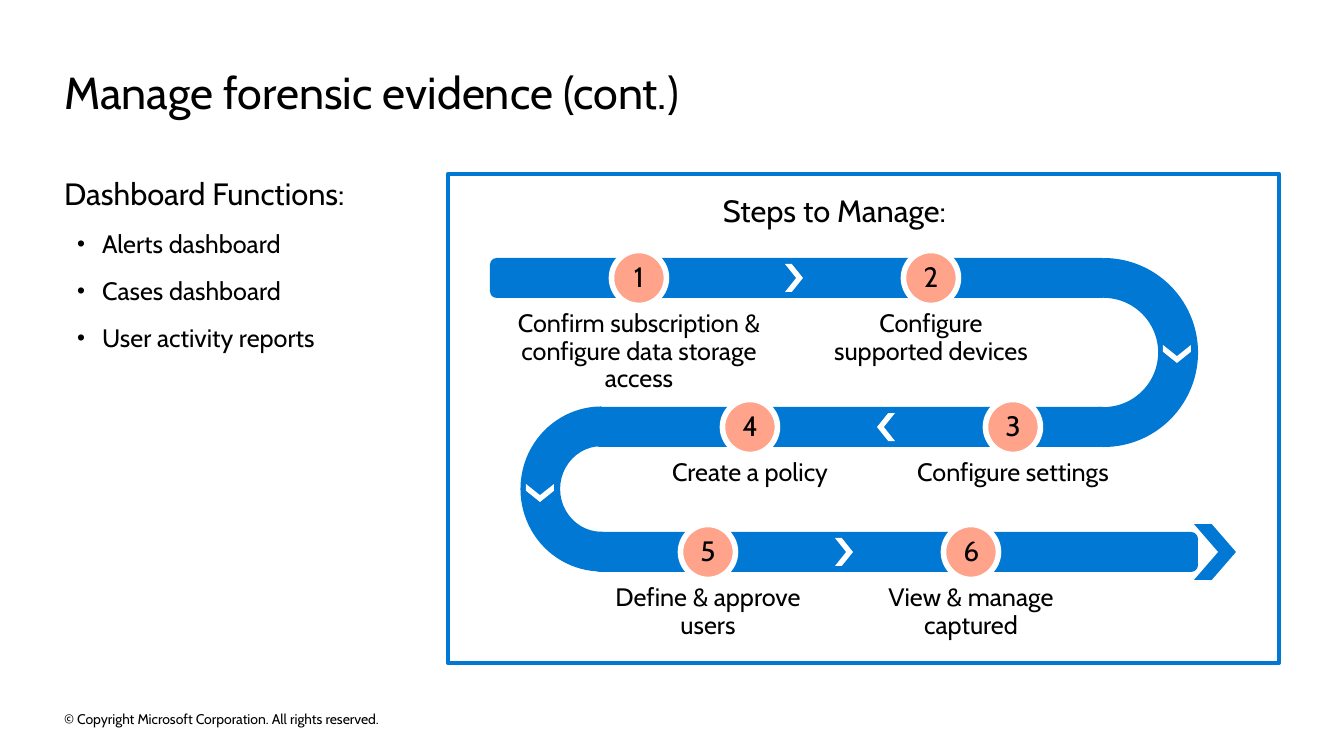
from dataclasses import dataclass

from lxml.etree import SubElement
from pptx import Presentation
from pptx.dml.color import RGBColor
from pptx.enum.shapes import MSO_SHAPE
from pptx.enum.text import MSO_ANCHOR, MSO_AUTO_SIZE, PP_ALIGN
from pptx.oxml.ns import qn
from pptx.util import Pt

TITLE = "Manage forensic evidence (cont.)"
FUNCTIONS_HEADING = "Dashboard Functions:"
FUNCTIONS = ["Alerts dashboard", "Cases dashboard", "User activity reports"]
STEPS_HEADING = "Steps to Manage:"
COPYRIGHT = "© Copyright Microsoft Corporation. All rights reserved."

# Lengths are px; each row of the path has one centre line.
ROW_1, ROW_2, ROW_3 = 278, 427, 552
# centre x, row, label width, label height, label
STEPS = [
    (639, ROW_1, 250, 99, "Confirm subscription & configure data storage access"),
    (931, ROW_1, 206, 71, "Configure supported devices"),
    (1013, ROW_2, 235, 43, "Configure settings"),
    (750, ROW_2, 173, 43, "Create a policy"),
    (708, ROW_3, 195, 71, "Define & approve users"),
    (971, ROW_3, 186, 71, "View & manage captured"),
]
# left, right, row
BARS = [(490, 1109, ROW_1), (593, 1110, ROW_2), (593, 1198, ROW_3)]
# left, top, width, height, flipped, adjustments
BENDS = [
    (1009, 258, 189, 189, False, (108, 3.061, 0.211)),
    (519, 408, 165, 162, True, (108, 1.203, 0.245)),
]
# centre x, centre y, rotation
CHEVRONS = [(794, ROW_1, 0), (1177, 354, 90), (886, ROW_2, 180),
            (540, 493, 90), (844, ROW_3, 0)]
BAR_HEIGHT = 40
BADGE = 55
LABEL_DROP = 25


@dataclass(frozen=True)
class Theme:
    font: str = "Cabin"
    ink: RGBColor = RGBColor(0, 0, 0)
    white: RGBColor = RGBColor(255, 255, 255)
    blue: RGBColor = RGBColor(0x00, 0x78, 0xD4)
    salmon: RGBColor = RGBColor(0xFF, 0xA3, 0x8B)
    title: int = 32
    heading: int = 22
    number: int = 20
    text: int = 18
    footer: int = 10


THEME = Theme()
EMU_PER_PX = 914400 / 100.8


def px(length):
    return round(length * EMU_PER_PX)


def box(left, top, width, height):
    return [px(side) for side in (left, top, width, height)]


def centred(x, y, width, height):
    return box(x - width / 2, y - height / 2, width, height)


def prepare_frame(frame, inset_x=0, inset_y=0, anchor=MSO_ANCHOR.TOP):
    frame.word_wrap = True
    frame.auto_size = MSO_AUTO_SIZE.NONE
    frame.vertical_anchor = anchor
    frame.margin_left = frame.margin_right = px(inset_x)
    frame.margin_top = frame.margin_bottom = px(inset_y)


def format_paragraph(paragraph, size, align=PP_ALIGN.LEFT, spacing=1.0, after=0):
    paragraph.alignment = align
    paragraph.line_spacing = spacing
    paragraph.space_before = Pt(0)
    paragraph.space_after = Pt(after)
    for run in paragraph.runs:
        run.font.name = THEME.font
        run.font.size = Pt(size)
        run.font.color.rgb = THEME.ink


def set_bullet(paragraph, bulleted):
    properties = paragraph._p.get_or_add_pPr()
    properties.set("marL", str(px(38 if bulleted else 0)))
    properties.set("indent", str(px(-25 if bulleted else 0)))
    if bulleted:
        SubElement(properties, qn("a:buSzPct"), val="90000")
        SubElement(properties, qn("a:buFont"), typeface="Arial")
        SubElement(properties, qn("a:buChar"), char="•")
    else:
        SubElement(properties, qn("a:buNone"))


def place(placeholder, bounds):
    placeholder.left, placeholder.top, placeholder.width, placeholder.height = bounds
    prepare_frame(placeholder.text_frame)


def add_text(slide, bounds, text, size, inset_y=0, anchor=MSO_ANCHOR.TOP, **style):
    frame = slide.shapes.add_textbox(*bounds).text_frame
    prepare_frame(frame, inset_y=inset_y, anchor=anchor)
    frame.text = text
    format_paragraph(frame.paragraphs[0], size, **style)


def add_filled(slide, kind, bounds, fill, rotation=0, adjustments=()):
    shape = slide.shapes.add_shape(kind, *bounds)
    shape.shadow.inherit = False
    shape.fill.solid()
    shape.fill.fore_color.rgb = fill
    shape.line.fill.background()
    shape.rotation = rotation
    for index, value in enumerate(adjustments):
        shape.adjustments[index] = value
    return shape


def add_outline(slide):
    frame = slide.shapes.add_shape(MSO_SHAPE.RECTANGLE, *box(448, 174, 831, 489))
    frame.shadow.inherit = False
    frame.fill.background()
    frame.line.color.rgb = THEME.blue
    frame.line.width = Pt(3)


def add_path(slide):
    for left, right, row in BARS:
        bounds = box(left, row - BAR_HEIGHT / 2, right - left, BAR_HEIGHT)
        add_filled(slide, MSO_SHAPE.ROUNDED_RECTANGLE, bounds, THEME.blue)
    for *bounds, flipped, adjustments in BENDS:
        bend = add_filled(slide, MSO_SHAPE.BLOCK_ARC, box(*bounds), THEME.blue,
                          90, adjustments)
        if flipped:
            bend._element.spPr.xfrm.set("flipV", "1")
    add_filled(slide, MSO_SHAPE.CHEVRON, centred(1215, ROW_3, 42, 56), THEME.blue,
               adjustments=[0.578])
    for x, y, rotation in CHEVRONS:
        add_filled(slide, MSO_SHAPE.CHEVRON, centred(x, y, 18, 28), THEME.white,
                   rotation, [0.622])


def add_step(slide, number, x, row, width, height, label):
    badge = add_filled(slide, MSO_SHAPE.OVAL, centred(x, row, BADGE, BADGE),
                       THEME.salmon)
    badge.line.color.rgb = THEME.white
    badge.line.width = Pt(4)
    prepare_frame(badge.text_frame, 12, 12, MSO_ANCHOR.MIDDLE)
    badge.text_frame.text = str(number)
    format_paragraph(badge.text_frame.paragraphs[0], THEME.number,
                     PP_ALIGN.CENTER, 0.9)
    add_text(slide, box(x - width / 2, row + LABEL_DROP, width, height), label,
             THEME.text, inset_y=8, align=PP_ALIGN.CENTER, spacing=0.9, after=6)


def main():
    deck = Presentation()
    deck.slide_width, deck.slide_height = px(1344), px(756)
    slide = deck.slides.add_slide(deck.slide_layouts[1])
    title, functions = slide.placeholders

    place(title, box(64, 65, 1218, 54))
    title.text_frame.text = TITLE
    format_paragraph(title.text_frame.paragraphs[0], THEME.title)

    place(functions, box(64, 175, 350, 179))
    functions.text_frame.text = "\n".join([FUNCTIONS_HEADING, *FUNCTIONS])
    for index, paragraph in enumerate(functions.text_frame.paragraphs):
        set_bullet(paragraph, index > 0)
        format_paragraph(paragraph, THEME.text if index else THEME.heading, after=12)

    add_outline(slide)
    add_text(slide, box(723, 196, 245, 33), STEPS_HEADING, THEME.heading,
             spacing=0.9, after=6)
    add_path(slide)
    for number, step in enumerate(STEPS, 1):
        add_step(slide, number, *step)
    add_text(slide, box(64, 708, 458, 22), COPYRIGHT, THEME.footer,
             anchor=MSO_ANCHOR.MIDDLE)
    deck.save("out.pptx")


if __name__ == "__main__":
    main()
